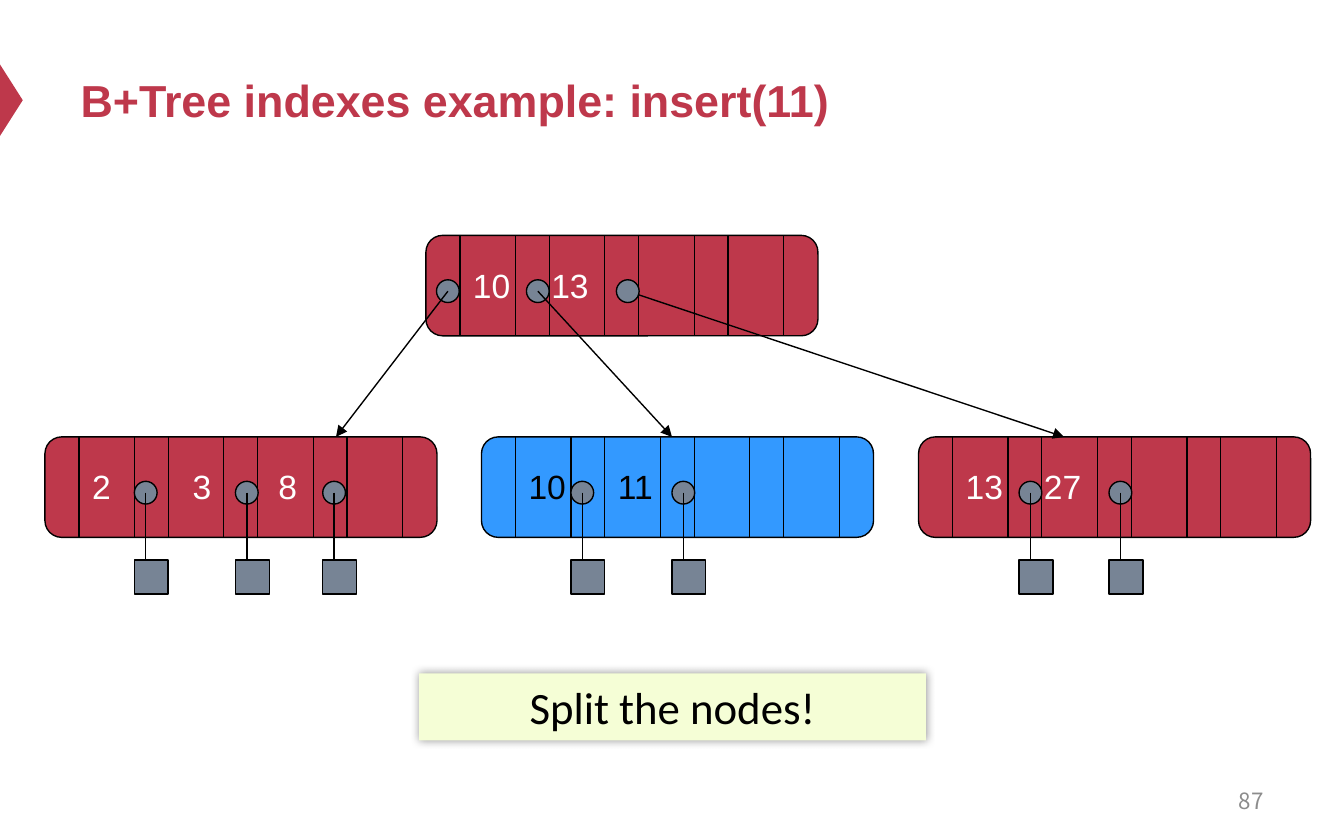
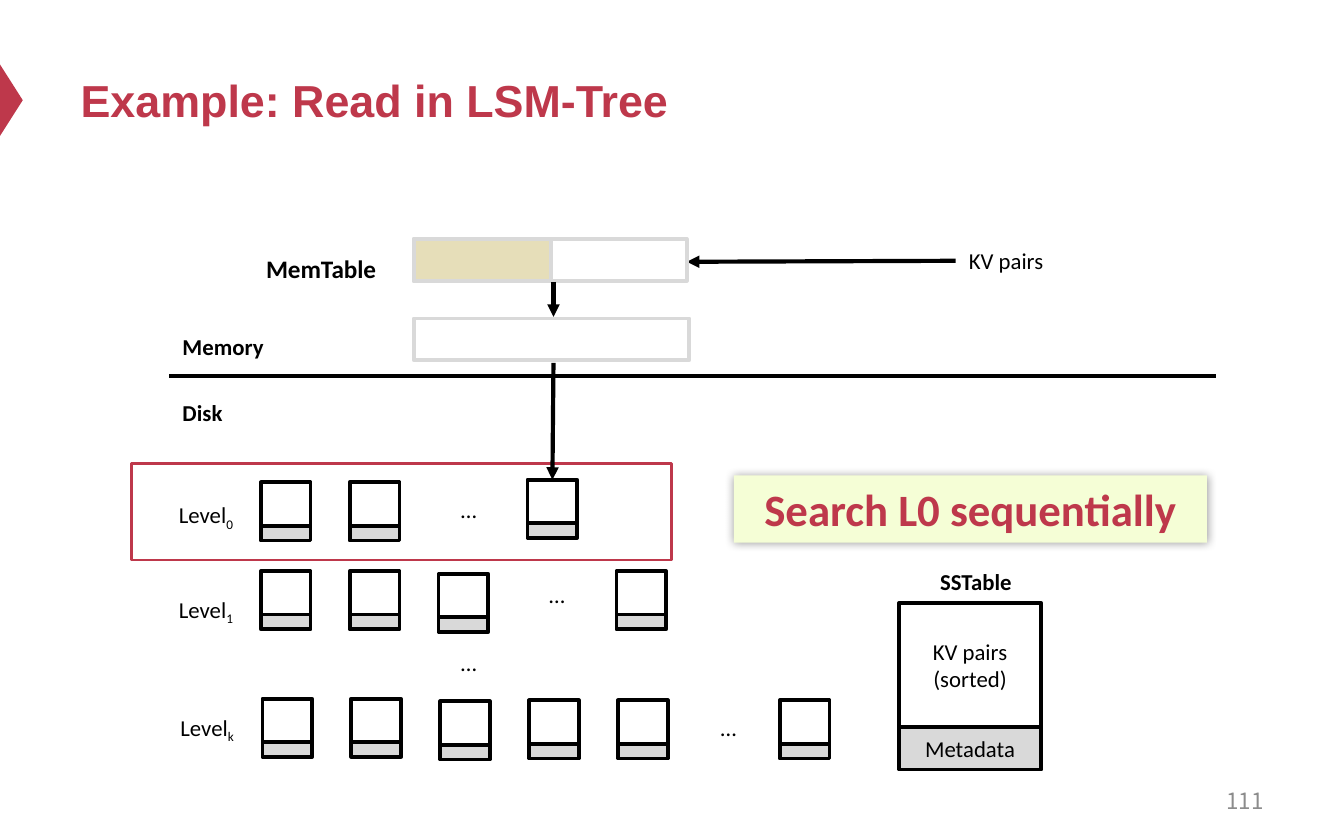
import pptx
import pptx.dml.color
import pptx.enum.shapes
import pptx.enum.text
import pptx.oxml
import pptx.oxml.ns
import pptx.util
from lxml import etree

Cm = pptx.util.Cm
Pt = pptx.util.Pt
MSO = pptx.enum.shapes.MSO_SHAPE
ALIGN = pptx.enum.text.PP_ALIGN
ANCHOR = pptx.enum.text.MSO_ANCHOR
FIT = pptx.enum.text.MSO_AUTO_SIZE
qn = pptx.oxml.ns.qn

COLORS = {
    "crimson": "BE384B",
    "black": "000000",
    "white": "FFFFFF",
    "blue": "3399FF",
    "slate": "778495",
    "lime": "F5FED6",
    "sand": "E6DEB9",
    "silver": "D9D9D9",
    "gray": "8C8C8C",
}
TITLE = {"name": "Arial", "size": Pt(24), "bold": True}
NUMBER = {"name": "Noto Sans CJK SC", "size": Pt(12)}
KEY = {"name": "Arial", "size": Pt(18)}
LABEL = {"name": "Calibri", "size": Pt(12.2)}
LABEL_BOLD = {**LABEL, "bold": True}
MEMTABLE = {**LABEL_BOLD, "size": Pt(13.5)}
CALLOUT = {"name": "Calibri", "size": Pt(24)}

NODE_W, NODE_H = 7.41, 1.9
SLOT, POINTER = 1.69, 0.64
DOT, DOT_DY, BLOCK = 0.43, 0.84, 0.64
TABLE_W, DATA_H, META_H, COLUMN = 0.94, 0.82, 0.28, 1.68


def rgb(color):
    return pptx.dml.color.RGBColor.from_string(COLORS[color])


def box(x, y, w, h):
    return [Cm(v) for v in (x, y, w, h)]


def style(font, color, fmt):
    for name, value in fmt.items():
        setattr(font, name, value)
    font.color.rgb = rgb(color)


def write(tf, lines, fmt, color="black", align=ALIGN.LEFT, **frame):
    for name, value in frame.items():
        setattr(tf, name, value)
    for i, line in enumerate(lines):
        p = tf.add_paragraph() if i else tf.paragraphs[0]
        p.alignment = align
        r = p.add_run()
        r.text = line
        style(r.font, color, fmt)
    return p


def add_text(shapes, x, y, w, h, text, fmt, color="black", **frame):
    frame = {"word_wrap": False, "auto_size": FIT.SHAPE_TO_FIT_TEXT, **frame}
    tb = shapes.add_textbox(*box(x, y, w, h))
    return write(tb.text_frame, [text], fmt, color, **frame)


def add_box(shapes, x, y, w, h, fill=None, line="black", width=2, kind=MSO.RECTANGLE):
    sp = shapes.add_shape(kind, *box(x, y, w, h))
    sp.shadow.inherit = False
    if fill:
        sp.fill.solid()
        sp.fill.fore_color.rgb = rgb(fill)
    else:
        sp.fill.background()
    if line:
        sp.line.color.rgb = rgb(line)
        sp.line.width = Pt(width)
    else:
        sp.line.fill.background()
    return sp


def add_line(shapes, start, end, width=0.75, arrow=False):
    points = [Cm(v) for v in (*start, *end)]
    c = shapes.add_connector(pptx.enum.shapes.MSO_CONNECTOR.STRAIGHT, *points)
    c.line.color.rgb = rgb("black")
    c.line.width = Pt(width)
    if arrow:
        etree.SubElement(c.line._get_or_add_ln(), qn("a:tailEnd"), type="triangle")
    etree.SubElement(c._element.spPr, qn("a:effectLst"))


def add_callout(shapes, x, y, w, text, fmt, color):
    sp = add_box(shapes, x, y, w, 1.27, "lime", None)
    effects = sp._element.spPr.find(qn("a:effectLst"))
    glow = etree.SubElement(effects, qn("a:outerShdw"), blurRad=str(Pt(5)),
                            dist="0", dir="0", algn="ctr", rotWithShape="0")
    shade = etree.SubElement(glow, qn("a:srgbClr"), val=COLORS["black"])
    etree.SubElement(shade, qn("a:alpha"), val="40000")
    write(sp.text_frame, [text], fmt, color, ALIGN.CENTER, word_wrap=True,
          auto_size=FIT.SHAPE_TO_FIT_TEXT, vertical_anchor=ANCHOR.TOP)


def new_slide(prs, title, number):
    s = prs.slides.add_slide(prs.slide_layouts[5])
    marker = add_box(s.shapes, -0.46, 1.68, 1.35, 0.43, "crimson", None,
                     kind=MSO.ISOSCELES_TRIANGLE)
    marker.rotation = 90
    sp = s.shapes.title
    sp.left, sp.top, sp.width, sp.height = box(1.27, 0.64, 22.86, 2.49)
    write(sp.text_frame, [title], TITLE, "crimson", vertical_anchor=ANCHOR.MIDDLE)
    add_text(s.shapes, 18.21, 14.71, 5.92, 0.84, number, NUMBER, "gray",
             align=ALIGN.RIGHT, vertical_anchor=ANCHOR.MIDDLE,
             word_wrap=True, auto_size=FIT.NONE)
    return s


def add_dot(shapes, x, y):
    add_box(shapes, x, y, DOT, DOT, "slate", width=0.75, kind=MSO.OVAL)


def tree_node(shapes, x, y, keys, fill="crimson", color="white"):
    sp = add_box(shapes, x, y, NODE_W, NODE_H, fill, width=0.75, kind=MSO.ROUNDED_RECTANGLE)
    sp.adjustments[0] = 0.167
    for slot in range(4):
        for dx in (slot * SLOT + POINTER, (slot + 1) * SLOT):
            add_line(shapes, (x + dx, y), (x + dx, y + NODE_H))
    for key, dx in keys:
        add_text(shapes, x + dx, y + 0.43, 0.86 if len(key) == 1 else 1.22, 1.02,
                 key, KEY, color)


def root_node(shapes, x, y, keys, dots, targets, target_y):
    tree_node(shapes, x, y, keys)
    links = [((x + dx + DOT / 2, y + DOT_DY + DOT / 2), (tx, target_y))
             for dx, tx in zip(dots, targets)]
    add_line(shapes, *links[-1], arrow=True)
    for dx in dots:
        add_dot(shapes, x + dx, y + DOT_DY)
    for link in links[:-1]:
        add_line(shapes, *link, arrow=True)


def leaf_node(shapes, x, y, keys, dots, **look):
    tree_node(shapes, x, y, keys, **look)
    for dx in dots:
        add_dot(shapes, x + dx, y + DOT_DY)
        mid = x + dx + DOT / 2
        add_line(shapes, (mid, y + DOT_DY + DOT / 2), (mid, y + 2.75), arrow=True)
        add_box(shapes, x + dx, y + 2.33, BLOCK, BLOCK, "slate", width=0.75)


def btree_slide(prs):
    s = new_slide(prs, "B+Tree indexes example: insert(11)", "87")
    leaf_y = 8.26
    leaf_node(s.shapes, 0.85, leaf_y, [("2", 0.64), ("3", 2.54), ("8", 4.16)],
              [1.69, 3.6, 5.25])
    leaf_node(s.shapes, 9.1, leaf_y, [("10", 0.64), ("11", 2.33)], [1.69, 3.6],
              fill="blue", color="black")
    leaf_node(s.shapes, 17.36, leaf_y, [("13", 0.64), ("27", 2.12)], [1.9, 3.6])
    root_node(s.shapes, 8.05, 4.45, [("10", 0.64), ("13", 2.12)],
              [0.2, 1.9, 3.6], [6.35, 12.7, 20.11], leaf_y)
    add_callout(s.shapes, 7.92, 12.73, 9.58, "Split the nodes!", CALLOUT, "black")


def small_table(shapes, x, y):
    add_box(shapes, x, y, TABLE_W, DATA_H)
    add_box(shapes, x, y + DATA_H, TABLE_W, META_H, "silver")


def ellipsis(shapes, x, y):
    add_text(shapes, x, y, 0.94, 0.79, "…", LABEL)


def level_row(shapes, x, y, index, label_dy, dots, tables):
    p = add_text(shapes, x - 1.8, y + label_dy, 1.62, 0.79, "Level", LABEL)
    r = p.add_run()
    r.text = index
    style(r.font, "black", LABEL)
    r._r.get_or_add_rPr().set("baseline", "-25000")
    for column, dy in tables:
        small_table(shapes, x + column * COLUMN, y + dy)
    ellipsis(shapes, x + dots[0], y + dots[1])


def disk_levels(shapes, x, y):
    level_row(shapes, x, y, "0", 0.23, (3.53, 0.13), [(0, 0), (1, 0), (3, -0.05)])
    level_row(shapes, x, y + 1.68, "1", 0.33, (5.2, 0.05),
              [(0, 0), (1, 0), (2, 0.05), (4, 0)])
    ellipsis(shapes, x + 3.53, y + 3.02)
    level_row(shapes, x + 0.03, y + 4.09, "k", 0.15, (8.41, 0.15),
              [(0, 0), (1, 0), (2, 0.05), (3, 0.03), (4, 0.03), (5.82, 0.03)])


def memory_area(shapes, x, y):
    add_text(shapes, x - 3.04, y + 0.15, 3, 0.84, "MemTable", MEMTABLE, word_wrap=True)
    add_text(shapes, x + 10.24, y + 0.03, 1.98, 0.79, "KV pairs", LABEL)
    add_line(shapes, (x + 10.24, y + 0.41), (x + 5.16, y + 0.43), 2.25, True)
    add_box(shapes, x, y, 5.16, 0.79, line="silver")
    add_box(shapes, x, y, 2.59, 0.79, "sand", "silver")
    add_line(shapes, (x + 2.64, y + 0.81), (x + 2.64, y + 1.47), 2.25, True)
    add_box(shapes, x, y + 1.5, 5.21, 0.79, line="silver")
    add_text(shapes, x - 4.62, y + 1.65, 2.08, 0.79, "Memory", LABEL_BOLD)
    add_line(shapes, (x - 4.62, y + 2.59), (x + 15.17, y + 2.59), 2.25)
    add_text(shapes, x - 4.62, y + 2.9, 1.3, 0.79, "Disk", LABEL_BOLD)


def sstable_legend(shapes, x, y):
    add_text(shapes, x + 0.53, y - 0.79, 1.96, 0.79, "SSTable", LABEL_BOLD)
    data = add_box(shapes, x, y, 2.69, 2.34)
    meta = add_box(shapes, x, y + 2.34, 2.69, 0.81, "silver")
    for sp, lines in ((data, ["KV pairs", "(sorted)"]), (meta, ["Metadata"])):
        write(sp.text_frame, lines, LABEL, align=ALIGN.CENTER,
              vertical_anchor=ANCHOR.MIDDLE)


def lsm_slide(prs):
    s = new_slide(prs, "Example: Read in LSM-Tree", "111")
    memory_area(s.shapes, 7.82, 4.52)
    disk_levels(s.shapes.add_group_shape().shapes, 4.93, 9.12)
    sstable_legend(s.shapes.add_group_shape().shapes, 16.99, 11.4)
    add_callout(s.shapes, 13.87, 8.99, 8.94, "Search L0 sequentially",
                {**CALLOUT, "bold": True}, "crimson")
    add_box(s.shapes, 2.49, 8.76, 10.21, 1.83, line="crimson", width=1.5)
    add_line(s.shapes, (10.46, 6.86), (10.44, 9.07), 2.25, True)


def main():
    prs = pptx.Presentation()
    prs.slide_width, prs.slide_height = Cm(25.4), Cm(15.88)
    btree_slide(prs)
    lsm_slide(prs)
    prs.save("out.pptx")


if __name__ == "__main__":
    main()
